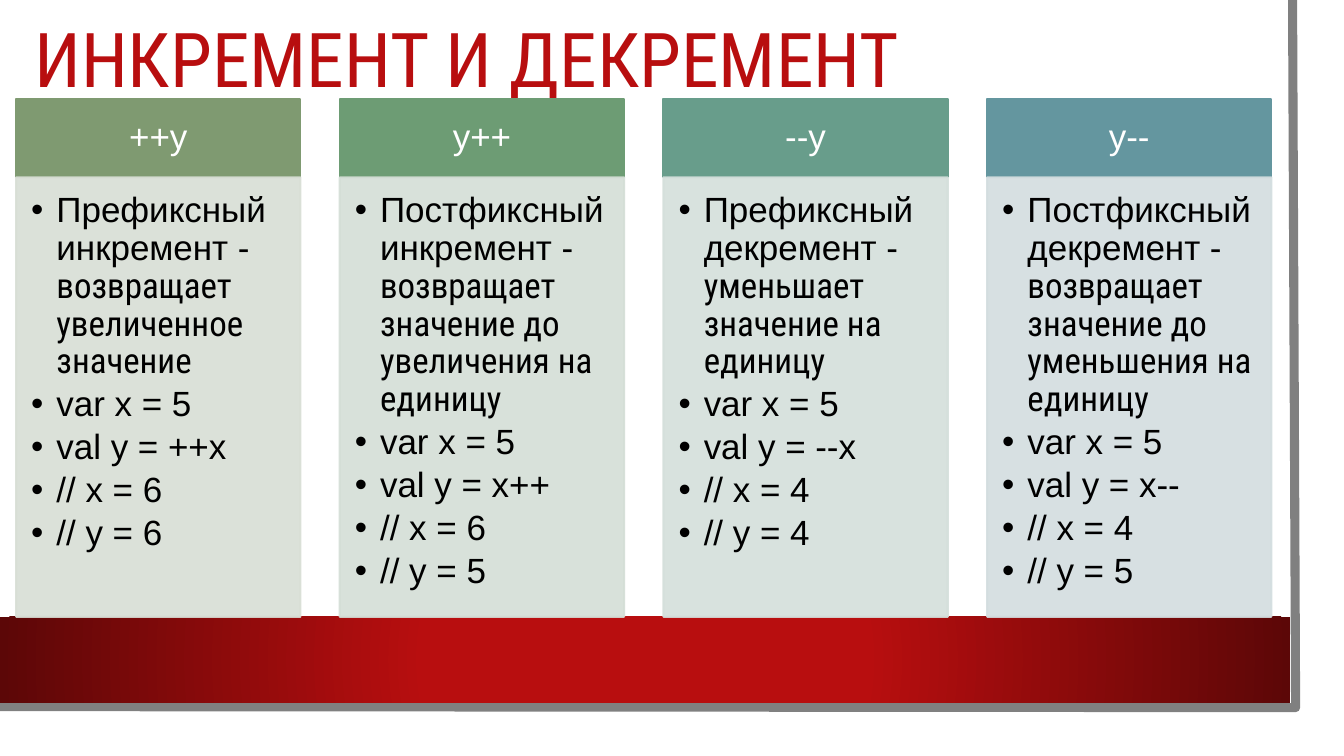
"""Builds the slide that compares prefix and postfix increment and decrement."""
from dataclasses import dataclass

from lxml import etree
from pptx import Presentation
from pptx import util as u
from pptx.dml.color import RGBColor
from pptx.enum import shapes, text
from pptx.oxml.ns import qn


@dataclass(frozen=True)
class Theme:
    """Colours, fonts and type sizes of the slide."""
    red: str = "B80E0F"
    dark_red: str = "5C0707"
    grey: str = "808080"
    white: str = "FFFFFF"
    black: str = "000000"
    display: str = "Roboto Condensed"
    body: str = "Arial"
    title_size: int = 54
    body_size: int = 25


@dataclass(frozen=True)
class Grid:
    """Column and row positions in inches."""
    left: float = 0.16
    pitch: float = 3.21
    width: float = 2.82
    head_top: float = 0.98
    body_top: float = 1.76
    bottom: float = 6.12


THEME, GRID = Theme(), Grid()
OPERATORS = [
    ("++y", "7F9A71", "D8DED5", "Префиксный инкремент - ",
     "возвращает увеличенное значение", ("++x", 6, 6)),
    ("y++", "6D9C74", "D4DED6", "Постфиксный инкремент - ",
     "возвращает значение до увеличения на единицу", ("x++", 6, 5)),
    ("--y", "689D8B", "D4DFDB", "Префиксный декремент - ",
     "уменьшает значение на единицу", ("--x", 4, 4)),
    ("y--", "64969F", "D3DDDF", "Постфиксный декремент - ",
     "возвращает значение до уменьшения на единицу", ("x--", 4, 5)),
]


def rgb(colour):
    """Turn a hex string into a colour."""
    return RGBColor.from_string(colour)


def add_xml(parent, tag, **attributes):
    """Append a drawing element to its parent."""
    return etree.SubElement(parent, qn(tag), {k: str(v) for k, v in attributes.items()})


def add_block(page, left, top, width, height, colour, outlined=False, opacity=100):
    """Add a flat rectangle measured in inches."""
    block = page.shapes.add_shape(shapes.MSO_SHAPE.RECTANGLE,
                                  *map(u.Inches, (left, top, width, height)))
    block.shadow.inherit = False
    block.fill.solid()
    block.fill.fore_color.rgb = rgb(colour)
    if outlined:
        block.line.color.rgb = rgb(colour)
        block.line.width = u.Pt(1.5)
    else:
        block.line.fill.background()
    if opacity < 100:
        for node in block._element.spPr.iter(qn("a:srgbClr")):
            add_xml(node, "a:alpha", val=opacity * 1000)
    return block


def set_frame(box, insets, anchor):
    """Set insets in inches, wrapping and anchor of a text frame."""
    frame = box.text_frame
    frame.word_wrap = True
    frame.auto_size = text.MSO_AUTO_SIZE.NONE
    frame.vertical_anchor = anchor
    (frame.margin_left, frame.margin_top,
     frame.margin_right, frame.margin_bottom) = map(u.Inches, insets)
    return frame


def style_paragraph(para, size, colour, font, align=text.PP_ALIGN.LEFT):
    """Set the type and line spacing of a paragraph."""
    para.alignment = align
    para.line_spacing = 0.9
    para.font.size = u.Pt(size)
    para.font.color.rgb = rgb(colour)
    para.font.name = font


def add_radial_band(page):
    """Add the red band that darkens towards its ends."""
    band = add_block(page, 0, GRID.bottom, 12.8, 0.85, THEME.red)
    properties = band._element.spPr
    solid = properties.find(qn("a:solidFill"))
    gradient = etree.Element(qn("a:gradFill"), rotWithShape="1")
    stops = add_xml(gradient, "a:gsLst")
    for share, colour in ((34, THEME.red), (100, THEME.dark_red)):
        add_xml(add_xml(stops, "a:gs", pos=share * 1000), "a:srgbClr", val=colour)
    centre = add_xml(gradient, "a:path", path="circle")
    add_xml(centre, "a:fillToRect", l=50000, t=50000, r=50000, b=50000)
    properties.replace(solid, gradient)


def add_backdrop(page):
    """Add the white sheet, its grey edge and the red band."""
    add_block(page, 0, 0, 13.1, 7.27, THEME.white)
    builder = page.shapes.build_freeform(u.Inches(12.82), 0)
    builder.add_line_segments([(u.Inches(x), u.Inches(y))
                               for x, y in ((12.85, 7.02), (-0.03, 7.01))], close=False)
    edge = builder.convert_to_shape()
    edge.shadow.inherit = False
    edge.fill.background()
    edge.line.color.rgb = rgb(THEME.grey)
    edge.line.width = u.Pt(6.5)
    add_radial_band(page)


def add_title(page, wording):
    """Place and format the title in front of the backdrop."""
    title = page.shapes.title
    title.left, title.top, title.width, title.height = map(u.Inches, (0.24, 0, 11.37, 1.26))
    frame = set_frame(title, (0.1, 0.05, 0.1, 0.05), text.MSO_ANCHOR.MIDDLE)
    frame.text = wording
    style_paragraph(frame.paragraphs[0], THEME.title_size, THEME.red, THEME.display)
    page.shapes._spTree.append(title._element)


def add_bullet(para, spans):
    """Fill a bulleted paragraph with (wording, font) spans."""
    properties = para._p.get_or_add_pPr()
    properties.set("marL", str(u.Inches(0.25)))
    properties.set("indent", str(u.Inches(-0.25)))
    add_xml(properties, "a:buFont", typeface=THEME.body)
    add_xml(properties, "a:buChar", char="•")
    style_paragraph(para, THEME.body_size, THEME.black, THEME.body)
    para.space_after = u.Pt(3.75)
    for wording, font in spans:
        span = para.add_run()
        span.text = wording
        if font != THEME.body:
            span.font.name = font


def add_operator(page, column, operator):
    """Add the header and explanation of one operator."""
    heading, dark, pale, name, meaning, (expression, x, y) = operator
    left = GRID.left + column * GRID.pitch
    head = add_block(page, left, GRID.head_top, GRID.width,
                     GRID.body_top - GRID.head_top, dark, outlined=True)
    frame = set_frame(head, (0.19, 0.11, 0.19, 0.11), text.MSO_ANCHOR.MIDDLE)
    frame.text = heading
    style_paragraph(frame.paragraphs[0], THEME.body_size, THEME.white, THEME.body,
                    text.PP_ALIGN.CENTER)

    body = add_block(page, left, GRID.body_top, GRID.width,
                     GRID.bottom - GRID.body_top, pale, outlined=True, opacity=90)
    frame = set_frame(body, (0.15, 0.15, 0.19, 0.22), text.MSO_ANCHOR.TOP)
    add_bullet(frame.paragraphs[0], [(name, THEME.body), (meaning, THEME.display)])
    for line in ("var x = 5", f"val y = {expression}", f"// x = {x}", f"// y = {y}"):
        add_bullet(frame.add_paragraph(), [(line, THEME.body)])


def main():
    """Build and save the deck."""
    deck = Presentation()
    deck.slide_width, deck.slide_height = u.Inches(13.33), u.Inches(7.5)
    page = deck.slides.add_slide(deck.slide_layouts.get_by_name("Title Only"))
    add_backdrop(page)
    add_title(page, "ИНКРЕМЕНТ И ДЕКРЕМЕНТ")
    for column, operator in enumerate(OPERATORS):
        add_operator(page, column, operator)
    deck.save("out.pptx")


if __name__ == "__main__":
    main()
